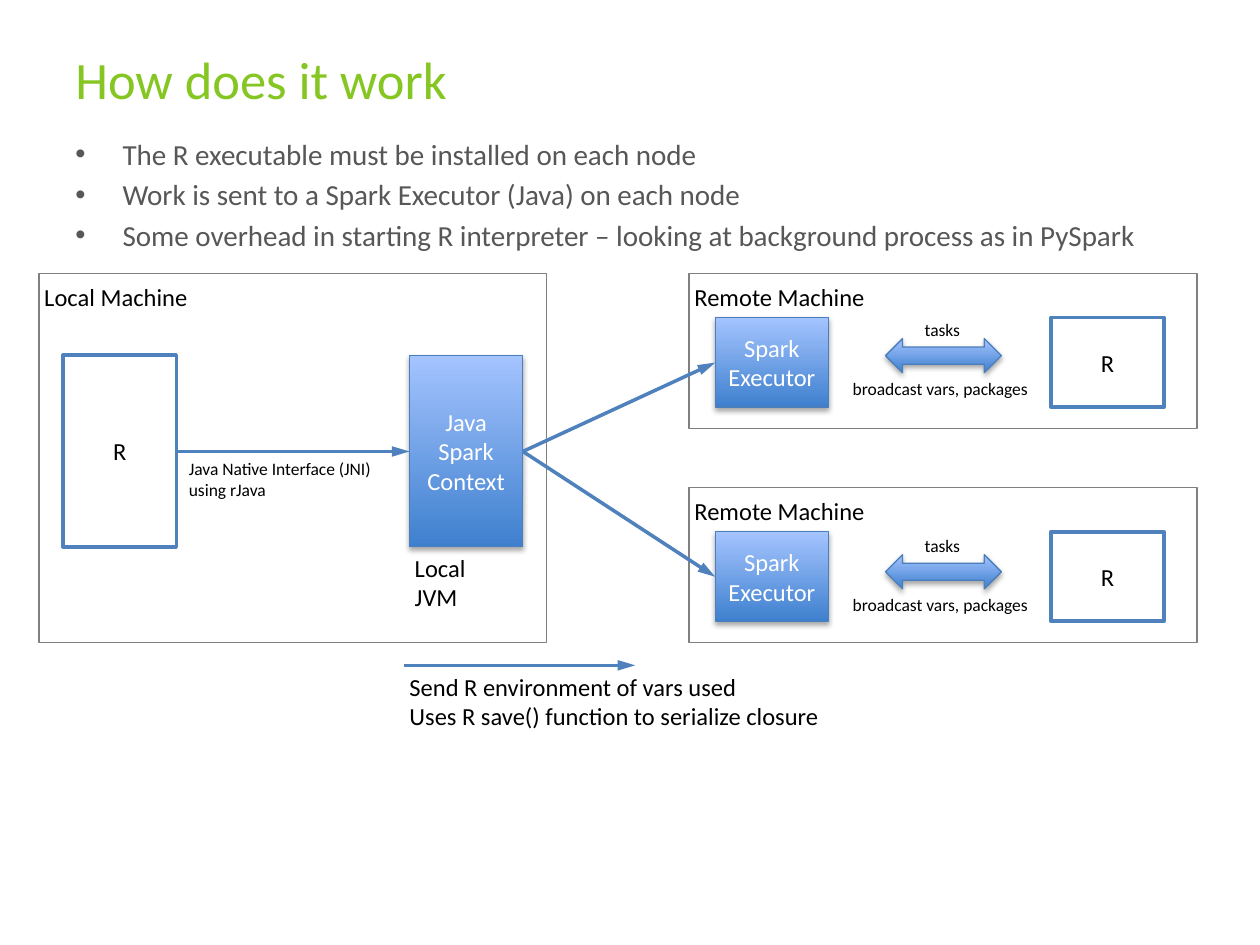
"""Build a slide showing how R talks to Spark on local and remote machines."""
from dataclasses import dataclass

from lxml import etree
from pptx import Presentation
from pptx.dml.color import RGBColor
from pptx.enum import shapes, text
from pptx.oxml import ns
from pptx.util import Pt


@dataclass(frozen=True)
class Theme:
    font: str = "Calibri"
    title: str = "85C622"
    body: str = "575757"
    ink: str = "000000"
    paper: str = "FFFFFF"
    accent: str = "4F81BD"
    edge: str = "4B7EBC"
    frame: str = "808080"
    deep: str = "3F80CE"
    light: str = "A4C4FF"
    title_size: float = 30
    body_size: float = 16.6
    label_size: float = 14
    note_size: float = 10


theme = Theme()
deck = Presentation()
deck.slide_width, deck.slide_height = Pt(720), Pt(540)
slide = deck.slides.add_slide(deck.slide_layouts[6])


def write(holder, lines, size, color, inset=7.2, wrap=False, align=text.PP_ALIGN.LEFT):
    frame = holder.text_frame
    frame.word_wrap = wrap
    frame.margin_left = frame.margin_right = Pt(inset)
    frame.margin_top = frame.margin_bottom = Pt(3.6)
    if not wrap:
        frame.auto_size = text.MSO_AUTO_SIZE.SHAPE_TO_FIT_TEXT
    for index, line in enumerate(lines):
        paragraph = frame.paragraphs[0] if index == 0 else frame.add_paragraph()
        paragraph.alignment = align
        run = paragraph.add_run()
        run.text = line
        run.font.name, run.font.size = theme.font, Pt(size)
        run.font.color.rgb = RGBColor.from_string(color)
    return frame


def block(kind, place, style, label=None):
    part = slide.shapes.add_shape(kind, *map(Pt, place))
    part.shadow.inherit = False
    edge, width = {"frame": (theme.frame, 0.75), "plain": (theme.accent, 2),
                   "glossy": (theme.edge, 0.75)}[style]
    part.line.color.rgb = RGBColor.from_string(edge)
    part.line.width = Pt(width)
    if style == "frame":
        part.fill.background()
    elif style == "plain":
        part.fill.solid()
        part.fill.fore_color.rgb = RGBColor.from_string(theme.paper)
    else:
        part.fill.gradient()
        part.fill.gradient_angle = 90
        for stop, color in zip(part.fill.gradient_stops, (theme.deep, theme.light)):
            stop.color.rgb = RGBColor.from_string(color)
        effects = part._element.spPr.find(ns.qn("a:effectLst"))
        shade = etree.SubElement(effects, ns.qn("a:outerShdw"), blurRad=str(Pt(3.1)),
                                 dist=str(Pt(1.8)), dir="5400000", rotWithShape="0")
        tone = etree.SubElement(shade, ns.qn("a:srgbClr"), val=theme.ink)
        etree.SubElement(tone, ns.qn("a:alpha"), val="35000")
    if label:
        color = theme.paper if style == "glossy" else theme.ink
        frame = write(part, [label], theme.label_size, color, 6, True, text.PP_ALIGN.CENTER)
        frame.vertical_anchor = text.MSO_ANCHOR.MIDDLE


RECT = shapes.MSO_SHAPE.RECTANGLE
BOX_WIDTH = 64.8
LEFT, RIGHT, FRAME_WIDTH, FRAME_TOP = 22.3, 393.8, 290.2, 156.3
REMOTE_PITCH, EXCHANGE_PITCH = 122.4, 123.5
EXECUTOR_LEFT, CONTEXT_LEFT, MIDDLE = 408.7, 234, 258

heading = slide.shapes.add_textbox(Pt(36), Pt(21.6), Pt(648), Pt(46))
write(heading, ["How does it work"], theme.title_size, theme.title,
      wrap=True).vertical_anchor = text.MSO_ANCHOR.MIDDLE

points = slide.shapes.add_textbox(Pt(36), Pt(74.2), Pt(648), Pt(68.4))
summary = write(points, [
    "The R executable must be installed on each node",
    "Work is sent to a Spark Executor (Java) on each node",
    "Some overhead in starting R interpreter – looking at background process as in PySpark",
], theme.body_size, theme.body, wrap=True)
for point in summary.paragraphs:
    point.space_before = Pt(3.3)
    indent = point._p.get_or_add_pPr()
    indent.set("marL", str(Pt(27)))
    indent.set("indent", str(Pt(-27)))
    etree.SubElement(indent, ns.qn("a:buFont"), typeface="Arial")
    etree.SubElement(indent, ns.qn("a:buChar"), char="•")

block(RECT, (36, 203, BOX_WIDTH, 109.5), "plain", "R")
block(RECT, (CONTEXT_LEFT, 203, BOX_WIDTH, 109.5), "glossy", "Java Spark Context")
block(RECT, (LEFT, FRAME_TOP, FRAME_WIDTH, 211), "frame")

labels = [
    (LEFT, 157.7, 88.6, 24.5, ["Local Machine"], theme.label_size, 3),
    (CONTEXT_LEFT, 312.5, 62.6, 24.5, ["Local JVM"], theme.label_size, 3),
    (100.8, MIDDLE, 121, 31.7, ["Java Native Interface (JNI)", "using rJava"],
     theme.note_size, 7.2),
    (231, 380.2, 242.6, 41, ["Send R environment of vars used",
                             "Uses R save() function to serialize closure"],
     theme.label_size, 3),
]
flows = [(100.8, MIDDLE, CONTEXT_LEFT, MIDDLE), (231, 380.2, 363, 380.2)]

for row in range(2):
    drop, shift = row * REMOTE_PITCH, row * EXCHANGE_PITCH
    block(RECT, (RIGHT, FRAME_TOP + drop, FRAME_WIDTH, 88.6), "frame")
    block(RECT, (EXECUTOR_LEFT, 181.5 + drop, BOX_WIDTH, 51.1), "glossy", "Spark Executor")
    block(RECT, (600.5, 181.5 + drop, BOX_WIDTH, 51.1), "plain", "R")
    block(shapes.MSO_SHAPE.LEFT_RIGHT_ARROW, (506, 193.5 + shift, 66.2, 19.5), "glossy")
    labels += [
        (RIGHT, 157.7 + drop, 104.4, 24.5, ["Remote Machine"], theme.label_size, 3),
        (521.3, 178.6 + shift, 35.3, 19.4, ["tasks"], theme.note_size, 7.2),
        (480.2, 212.6 + shift, 116.6, 19.4, ["broadcast vars, packages"], theme.note_size, 7.2),
    ]
    flows.append((CONTEXT_LEFT + BOX_WIDTH, MIDDLE, EXECUTOR_LEFT, 207.2 + drop))

for left, top, width, height, lines, size, inset in labels:
    caption = slide.shapes.add_textbox(Pt(left), Pt(top), Pt(width), Pt(height))
    write(caption, lines, size, theme.ink, inset)

for ends in flows:
    flow = slide.shapes.add_connector(shapes.MSO_CONNECTOR.STRAIGHT, *map(Pt, ends))
    flow.line.color.rgb = RGBColor.from_string(theme.accent)
    flow.line.width = Pt(2)
    etree.SubElement(flow.line._get_or_add_ln(), ns.qn("a:tailEnd"),
                     type="triangle", w="med", len="lg")
    etree.SubElement(flow._element.spPr, ns.qn("a:effectLst"))

deck.save("out.pptx")
